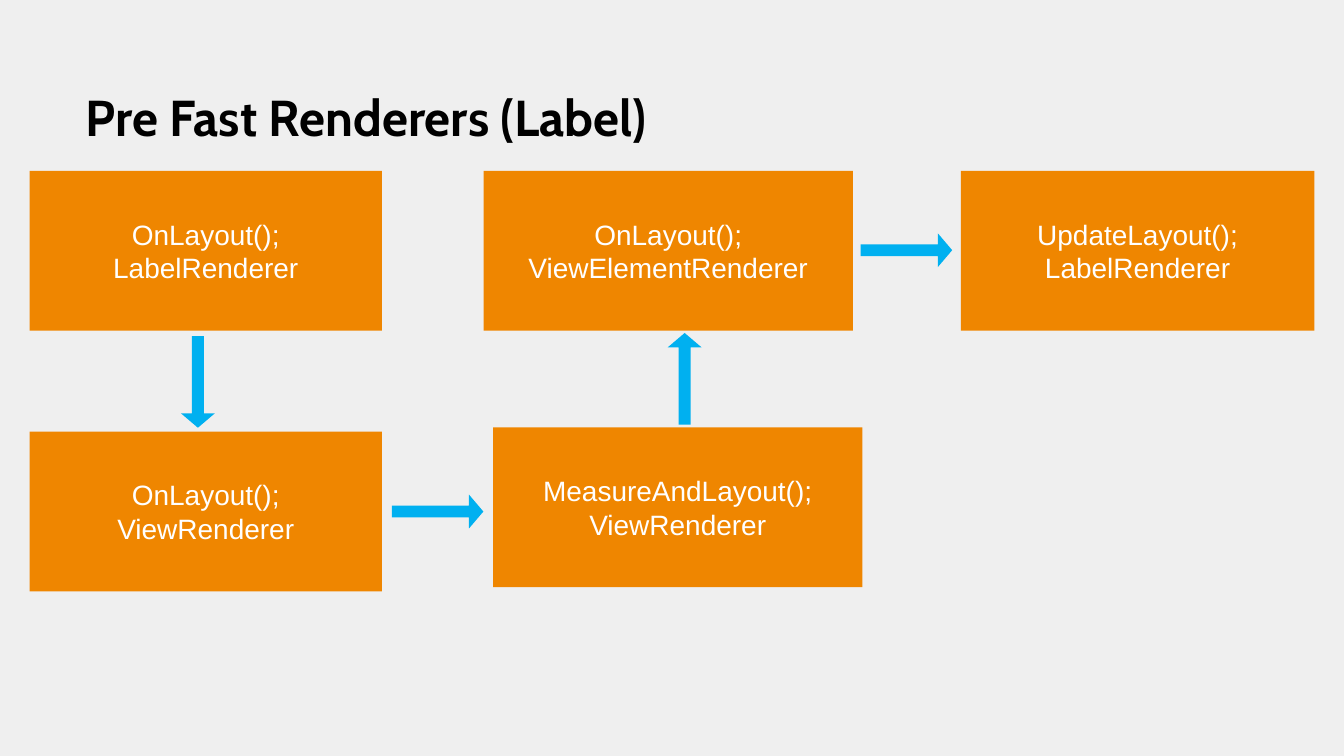
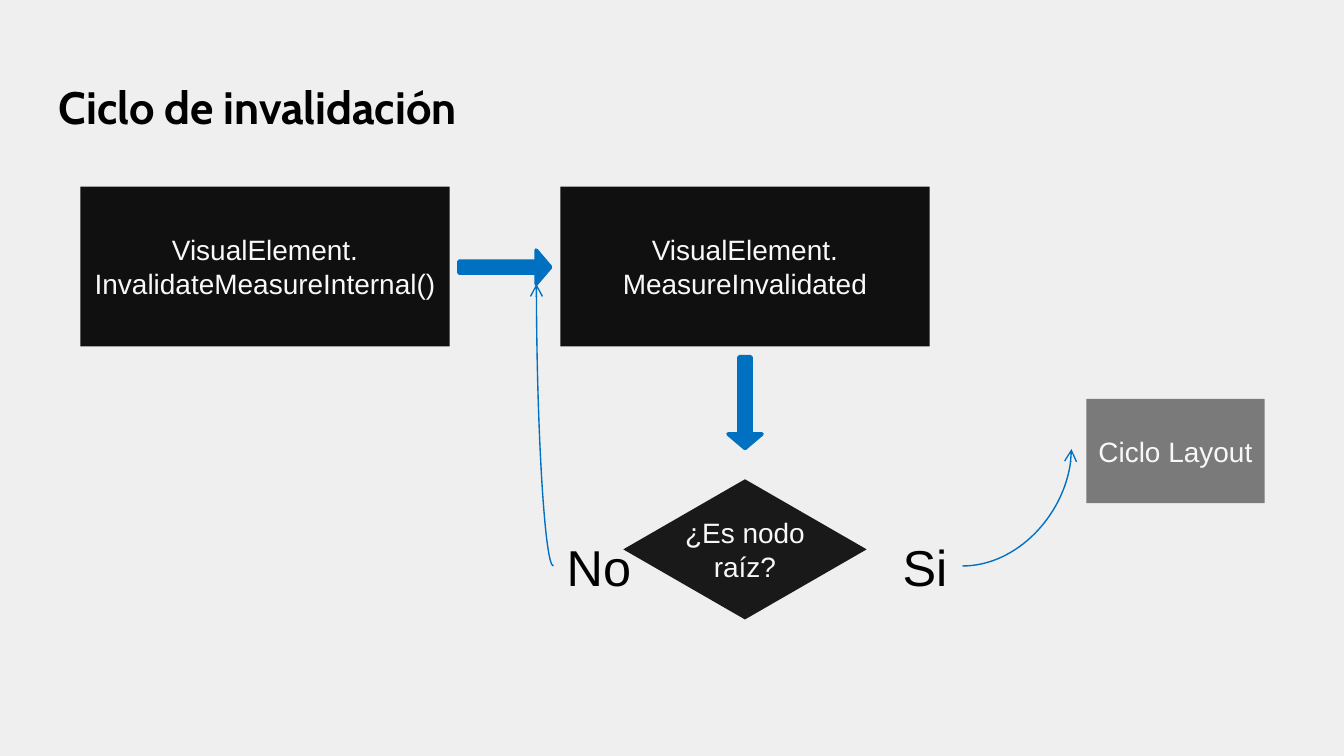
"""Build two flow slides: label layout calls and the invalidation cycle."""
import pptx
import pptx.dml.color
import pptx.enum.shapes
import pptx.enum.text
import pptx.oxml.ns
import pptx.util
from lxml import etree

Cm = pptx.util.Cm
Pt = pptx.util.Pt
RGBColor = pptx.dml.color.RGBColor
Shape = pptx.enum.shapes.MSO_SHAPE
Align = pptx.enum.text.PP_ALIGN
Anchor = pptx.enum.text.MSO_ANCHOR
qn = pptx.oxml.ns.qn

BACKGROUND = RGBColor(0xEF, 0xEF, 0xEF)
BLACK = RGBColor(0, 0, 0)
WHITE = RGBColor(0xFF, 0xFF, 0xFF)
OFF_WHITE = RGBColor(0xF8, 0xF8, 0xF8)
ORANGE = RGBColor(0xEF, 0x86, 0x00)
SKY = RGBColor(0x00, 0xB0, 0xF0)
BLUE = RGBColor(0x00, 0x70, 0xC0)
NEAR_BLACK = RGBColor(0x10, 0x10, 0x10)
CHARCOAL = RGBColor(0x19, 0x19, 0x19)
GREY = RGBColor(0x7A, 0x7A, 0x7A)

BOX_HEIGHT = 3.02
WIDE_BOX = 6.98
ARROW_WIDTH, ARROW_LENGTH = 0.64, 1.73
UP, RIGHT, DOWN = 0, 90, 180

RENDERER_TITLE = ("Pre Fast Renderers (Label)", (1.37, 1.37, 24.28, 1.88), 27)
RENDERER_BOXES = [
    ("OnLayout();\nLabelRenderer", 0.56, 3.23, 6.66),
    ("OnLayout();\nViewRenderer", 0.56, 8.16, 6.66),
    ("MeasureAndLayout();\nViewRenderer", 9.32, 8.08, WIDE_BOX),
    ("OnLayout();\nViewElementRenderer", 9.14, 3.23, WIDE_BOX),
    ("UpdateLayout();\nLabelRenderer", 18.16, 3.23, 6.68),
]
RENDERER_ARROWS = [(3.74, 7.22, DOWN), (8.27, 9.67, RIGHT),
                   (12.94, 7.16, UP), (17.13, 4.73, RIGHT)]

CYCLE_TITLE = ("Ciclo de invalidación", (0.86, 1.24, 23.67, 1.6), 24.3)
CYCLE_BOXES = [
    ("VisualElement.\nInvalidateMeasureInternal()", Shape.RECTANGLE,
     (1.52, 3.53, WIDE_BOX, BOX_HEIGHT), NEAR_BLACK),
    ("VisualElement.\nMeasureInvalidated", Shape.RECTANGLE,
     (10.59, 3.53, WIDE_BOX, BOX_HEIGHT), NEAR_BLACK),
    ("¿Es nodo raíz?", Shape.FLOWCHART_DECISION, (11.78, 9.06, 4.6, 2.65), CHARCOAL),
    ("Ciclo Layout", Shape.RECTANGLE, (20.53, 7.54, 3.37, 1.97), GREY),
]
CYCLE_ARROWS = [(9.54, 5.05, RIGHT), (14.08, 7.61, DOWN)]
ANSWERS = [("Si", (16.81, 10.0, 1.38, 1.41)), ("No", (10.46, 10.0, 1.75, 1.41))]
CURVES = [(10.46, 10.7, 10.14, 5.37), (18.19, 10.7, 20.25, 8.49)]


def format_text(text_frame, size, color, font="Arial", bold=False, align=Align.LEFT):
    for paragraph in text_frame.paragraphs:
        paragraph.alignment = align
        for run in paragraph.runs:
            run.font.name = font
            run.font.size = Pt(size)
            run.font.bold = bold
            run.font.color.rgb = color


def add_text(slide, text, place, wrap):
    text_frame = slide.shapes.add_textbox(*map(Cm, place)).text_frame
    text_frame.word_wrap = wrap
    text_frame.text = text
    return text_frame


def add_slide(presentation, title, place, size):
    slide = presentation.slides.add_slide(presentation.slide_layouts[6])
    slide.background.fill.solid()
    slide.background.fill.fore_color.rgb = BACKGROUND
    text_frame = add_text(slide, title, place, True)
    text_frame.margin_left = text_frame.margin_right = Cm(0.25)
    text_frame.margin_top = text_frame.margin_bottom = Cm(0.25)
    format_text(text_frame, size, BLACK, "Cabin", True)
    return slide


def add_filled_shape(slide, kind, place, color):
    shape = slide.shapes.add_shape(kind, *map(Cm, place))
    shape.shadow.inherit = False
    shape.fill.solid()
    shape.fill.fore_color.rgb = color
    shape.line.fill.background()
    return shape


def add_box(slide, text, kind, place, fill, color):
    text_frame = add_filled_shape(slide, kind, place, fill).text_frame
    text_frame.word_wrap = True
    text_frame.vertical_anchor = Anchor.MIDDLE
    text_frame.margin_left = text_frame.margin_right = 0
    text_frame.margin_top = text_frame.margin_bottom = Cm(0.1)
    text_frame.text = text
    format_text(text_frame, 15, color, align=Align.CENTER)


def add_arrow(slide, center_x, center_y, rotation, color, outline=0):
    place = (center_x - ARROW_WIDTH / 2, center_y - ARROW_LENGTH / 2,
             ARROW_WIDTH, ARROW_LENGTH)
    arrow = add_filled_shape(slide, Shape.UP_ARROW, place, color)
    arrow.adjustments[0] = 0.35
    arrow.adjustments[1] = 0.425
    arrow.rotation = rotation
    if outline:
        arrow.line.color.rgb = color
        arrow.line.width = Pt(outline)


def add_curve(slide, ends):
    curve = slide.shapes.add_connector(
        pptx.enum.shapes.MSO_CONNECTOR.CURVE, *map(Cm, ends))
    curve.line.color.rgb = BLUE
    curve.line.width = Pt(0.75)
    properties = curve._element.spPr
    properties.find(qn("a:prstGeom")).set("prst", "curvedConnector2")
    etree.SubElement(properties.find(qn("a:ln")), qn("a:tailEnd"), type="arrow")
    etree.SubElement(properties, qn("a:effectLst"))


def build_renderer_slide(presentation):
    slide = add_slide(presentation, *RENDERER_TITLE)
    for text, left, top, width in RENDERER_BOXES:
        add_box(slide, text, Shape.RECTANGLE, (left, top, width, BOX_HEIGHT),
                ORANGE, WHITE)
    for arrow in RENDERER_ARROWS:
        add_arrow(slide, *arrow, SKY)


def build_cycle_slide(presentation):
    slide = add_slide(presentation, *CYCLE_TITLE)
    for box in CYCLE_BOXES:
        add_box(slide, *box, OFF_WHITE)
    for arrow in CYCLE_ARROWS:
        add_arrow(slide, *arrow, BLUE, outline=2)
    for text, place in ANSWERS:
        format_text(add_text(slide, text, place, False), 27, BLACK)
    for ends in CURVES:
        add_curve(slide, ends)


def main():
    presentation = pptx.Presentation()
    presentation.slide_width = Cm(25.4)
    presentation.slide_height = Cm(14.29)
    build_renderer_slide(presentation)
    build_cycle_slide(presentation)
    presentation.save("out.pptx")


if __name__ == "__main__":
    main()
